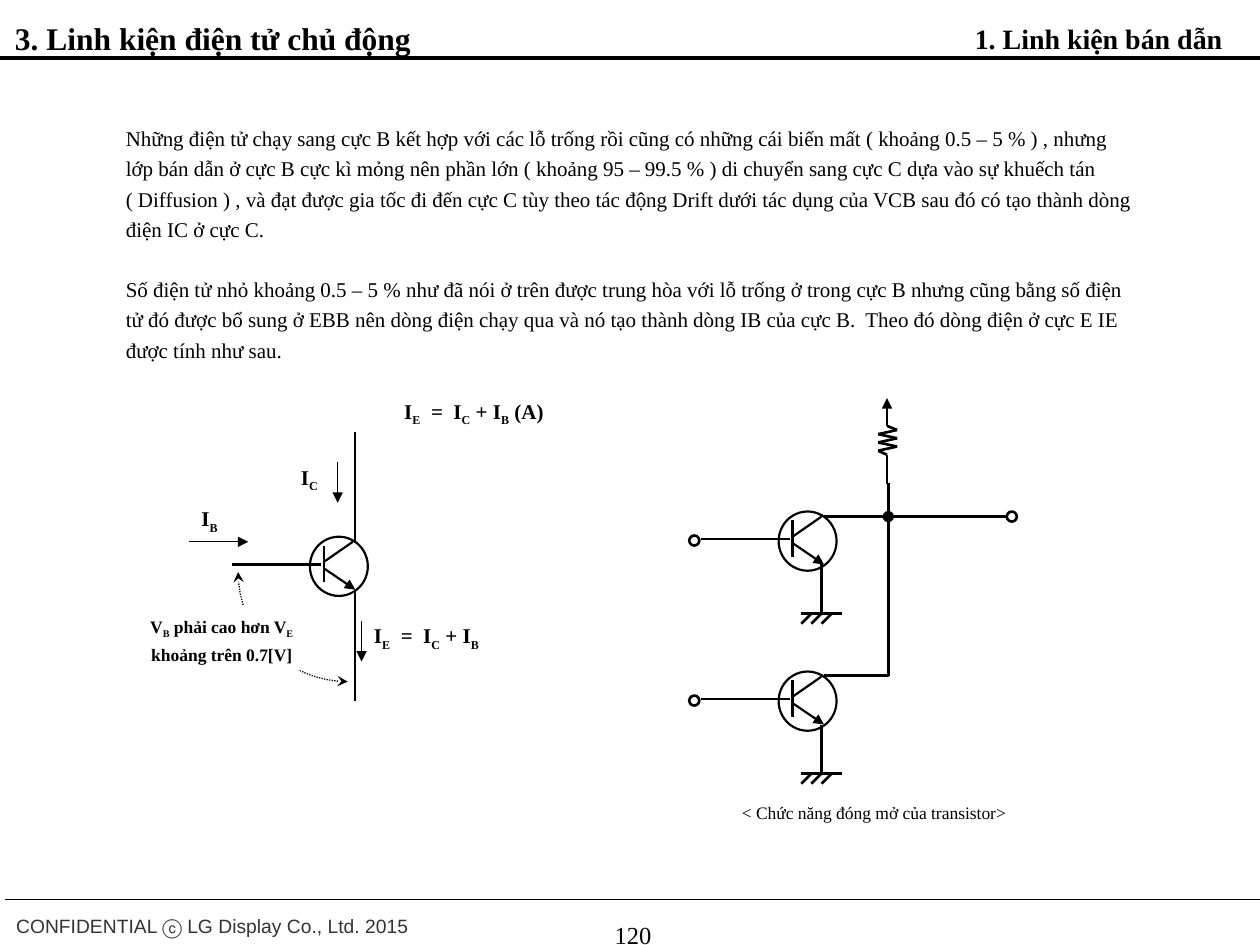
import math
import pptx
import pptx.dml.color
import pptx.enum.dml
import pptx.enum.shapes
import pptx.enum.text
import pptx.oxml
import pptx.oxml.ns
import pptx.util

Inches = pptx.util.Inches
Pt = pptx.util.Pt
SHAPE = pptx.enum.shapes.MSO_SHAPE
ALIGN = pptx.enum.text.PP_ALIGN
COLORS = {"ink": "000000", "paper": "FFFFFF", "footer": "333333"}
SERIF = {"name": "Times New Roman", "size": Pt(12), "bold": False}
BOLD = {**SERIF, "bold": True}
BODY = [
    "Những điện tử chạy sang cực B kết hợp với các lỗ trống rồi cũng có những cái biến mất "
    "( khoảng 0.5 – 5 % ) , nhưng lớp bán dẫn ở cực B cực kì mỏng nên phần lớn "
    "( khoảng 95 – 99.5 % ) di chuyển sang cực C dựa vào sự khuếch tán ( Diffusion ) , "
    "và đạt được gia tốc đi đến cực C tùy theo tác động Drift dưới tác dụng của VCB "
    "sau đó có tạo thành dòng điện IC ở cực C.",
    "Số điện tử nhỏ khoảng 0.5 – 5 % như đã nói ở trên được trung hòa với lỗ trống ở trong "
    "cực B nhưng cũng bằng số điện tử đó được bổ sung ở EBB nên dòng điện chạy qua và nó "
    "tạo thành dòng IB của cực B.  Theo đó dòng điện ở cực E IE được tính như sau.",
]
EMITTER_SUM = "I|E|  =  I|C| + I|B"


def rgb(name):
    return pptx.dml.color.RGBColor.from_string(COLORS[name])


def write(p, text, fmt, color="ink", align=ALIGN.LEFT, spacing=1.2):
    p.alignment, p.line_spacing = align, spacing
    for i, part in enumerate(text.split("|")):
        if not part:
            continue
        r = p.add_run()
        r.text = part
        for key, value in fmt.items():
            setattr(r.font, key, value)
        r.font.color.rgb = rgb(color)
        if i % 2:
            r._r.get_or_add_rPr().set("baseline", "-25000")


def textbox(s, box, wrap=False):
    tf = s.shapes.add_textbox(*map(Inches, box)).text_frame
    tf.word_wrap = wrap
    if not wrap:
        tf.auto_size = pptx.enum.text.MSO_AUTO_SIZE.SHAPE_TO_FIT_TEXT
    return tf


def label(s, box, text, fmt=BOLD, **options):
    write(textbox(s, box).paragraphs[0], text, fmt, **options)


def arrowheads(sp, head=None, tail=None):
    ln = sp.line._get_or_add_ln()
    for tag, kind in (("headEnd", head), ("tailEnd", tail)):
        if kind:
            ln.append(pptx.oxml.parse_xml(
                f'<a:{tag} {pptx.oxml.ns.nsdecls("a")} type="{kind}"/>'))


def line(shapes, x1, y1, x2, y2, width=1.25, head=None, tail=None):
    sp = shapes.add_connector(pptx.enum.shapes.MSO_CONNECTOR.STRAIGHT,
                              Inches(x1), Inches(y1), Inches(x2), Inches(y2))
    sp.line.color.rgb = rgb("ink")
    sp.line.width = Pt(width)
    sp._element.spPr.append(pptx.oxml.parse_xml(
        f'<a:effectLst {pptx.oxml.ns.nsdecls("a")}/>'))
    arrowheads(sp, head, tail)


def shape(shapes, kind, box, fill=None, width=None):
    sp = shapes.add_shape(kind, *map(Inches, box))
    sp.shadow.inherit = False
    if fill:
        sp.fill.solid()
        sp.fill.fore_color.rgb = rgb(fill)
    else:
        sp.fill.background()
    if width:
        sp.line.color.rgb = rgb("ink")
        sp.line.width = Pt(width)
    else:
        sp.line.fill.background()
    return sp


def polyline(s, points, width):
    pts = [(Inches(x), Inches(y)) for x, y in points]
    builder = s.shapes.build_freeform(*pts[0])
    builder.add_line_segments(pts[1:], close=False)
    sp = builder.convert_to_shape()
    sp.shadow.inherit = False
    sp.fill.background()
    sp.line.color.rgb = rgb("ink")
    sp.line.width = Pt(width)
    return sp


def header(s, x, y, w):
    label(s, (x + 0.02, y + 0.04, 3.38, 0.4), "3. Linh kiện điện tử chủ động",
          {**BOLD, "size": Pt(18)})
    label(s, (x + 7.61, y + 0.07, 2.19, 0.37), "1. Linh kiện bán dẫn",
          {**BOLD, "size": Pt(16)}, align=ALIGN.RIGHT)
    line(s.shapes, x, y + 0.46, x + w, y + 0.46, 2.25)


def footer(s, x, y, w):
    line(s.shapes, x + 0.04, y, x + w, y, 0.75)
    label(s, (x + 0.03, y + 0.03, 3.34, 0.3), "CONFIDENTIAL ⓒ LG Display Co., Ltd. 2015",
          {"name": "Arial", "size": Pt(11)}, color="footer")
    tf = textbox(s, (x + 3.86, y + 0.04, 2.33, 0.52), wrap=True)
    tf.margin_top = Inches(0.12)
    write(tf.paragraphs[0], "120", {**SERIF, "size": Pt(14)}, align=ALIGN.CENTER, spacing=1)


def explanation(s, x, y, w, h):
    tf = textbox(s, (x, y, w, h), wrap=True)
    lines = [(text, SERIF) for text in BODY] + [(EMITTER_SUM + "| (A)", BOLD)]
    for i, (text, fmt) in enumerate(lines):
        p = tf.add_paragraph() if i else tf.paragraphs[0]
        p.space_before = Pt(17.2 if i else 0)
        write(p, text, fmt)
    p._p.get_or_add_pPr().set("marL", str(Inches(2.21)))


def transistor(s, x, y):
    shapes = s.shapes.add_group_shape().shapes
    shape(shapes, SHAPE.OVAL, (x, y, 0.46, 0.47), width=1.25)
    line(shapes, x + 0.11, y + 0.07, x + 0.11, y + 0.36)
    line(shapes, x + 0.34, y + 0.04, x + 0.11, y + 0.2)
    line(shapes, x + 0.11, y + 0.25, x + 0.36, y + 0.42, tail="triangle")
    line(s.shapes, x - 0.62, y + 0.22, x + 0.09, y + 0.22)


def ground(s, x, y):
    shapes = s.shapes.add_group_shape().shapes
    line(shapes, x, y, x + 0.32, y, 1.5)
    for i in range(3):
        left = x + 0.08 * i
        line(shapes, left + 0.08, y, left, y + 0.08, 1.5)


def resistor(s, x, y):
    shapes = s.shapes.add_group_shape().shapes
    line(shapes, x, y, x, y + 0.22, 1.5, head="triangle")
    offsets = [0] + [0.08, -0.07] * 3 + [0]
    points = [(x + dx, y + 0.22 + 0.23 * i / 7) for i, dx in enumerate(offsets)]
    for start, end in zip(points, points[1:]):
        line(shapes, *start, *end, 1.5)
    line(shapes, x, y + 0.45, x, y + 0.68, 1.5)


def node(s, x, y, fill="paper", width=1.5):
    shape(s.shapes, SHAPE.OVAL, (x, y, 0.08, 0.08), fill, width)


def current_diagram(s, x, y):
    transistor(s, x + 1.4, y + 0.83)
    line(s.shapes, x + 1.76, y + 2.13, x + 1.76, y + 1.26)
    line(s.shapes, x + 1.76, y + 0.87, x + 1.76, y)
    for x1, y1, x2, y2 in ((0.44, 0.87, 0.91, 0.87), (1.81, 1.5, 1.81, 1.82),
                           (1.62, 0.24, 1.62, 0.56)):
        line(s.shapes, x + x1, y + y1, x + x2, y + y2, 0.75, tail="triangle")
    for dx, dy, w, text in ((1.81, 1.42, 1.07, EMITTER_SUM), (0.44, 0.49, 0.34, "I|B"),
                            (1.23, 0.16, 0.35, "I|C")):
        label(s, (x + dx, y + dy, w, 0.32), text)
    angles = [math.pi / 2 * (1 + i / 16) for i in range(17)]
    arc = polyline(s, [(x + 1.7 + 0.87 * math.cos(a), y + 1.11 + 0.87 * math.sin(a))
                       for a in angles], 0.75)
    arc.line.dash_style = pptx.enum.dml.MSO_LINE.ROUND_DOT
    arrowheads(arc, "stealth", "stealth")
    note = shape(s.shapes, SHAPE.RECTANGLE, (x, y + 1.38, 1.4, 0.51), "paper")
    tf = note.text_frame
    tf.word_wrap = False
    for i, text in enumerate(("V|B| phải cao hơn V|E", "khoảng trên 0.7[V]")):
        p = tf.add_paragraph() if i else tf.paragraphs[0]
        write(p, text, {**BOLD, "size": Pt(10)}, align=ALIGN.CENTER)


def switch_diagram(s, x, y):
    bus = x + 1.58
    top, bottom = y + 0.9, y + 2.17
    for stage in (top, bottom):
        transistor(s, x + 0.71, stage)
        line(s.shapes, x + 1.05, stage + 0.42, x + 1.05, stage + 0.82, 1.5)
        ground(s, x + 0.89, stage + 0.81)
        node(s, x, stage + 0.19)
    resistor(s, bus - 0.01, y)
    polyline(s, [(x + 1.07, top + 0.04), (bus, top + 0.04), (bus, y + 0.67)], 1.5)
    polyline(s, [(x + 1.07, bottom + 0.03), (bus, bottom + 0.03), (bus, top)], 1.5)
    line(s.shapes, bus, top + 0.04, x + 2.52, top + 0.04, 1.5)
    node(s, bus - 0.04, top, "ink", 0.75)
    node(s, x + 2.52, top)
    label(s, (x + 0.32, y + 3.12, 2.33, 0.3), "< Chức năng đóng mở của transistor>",
          {**SERIF, "size": Pt(10)})


def main():
    prs = pptx.Presentation()
    prs.slide_width, prs.slide_height = Inches(10), Inches(7.5)
    s = prs.slides.add_slide(prs.slide_layouts[6])
    footer(s, 0, 7.14, 10)
    header(s, 0, 0, 10)
    explanation(s, 0.9, 0.91, 8.19, 5.83)
    current_diagram(s, 1.06, 3.43)
    switch_diagram(s, 5.47, 3.16)
    prs.save("out.pptx")


if __name__ == "__main__":
    main()
